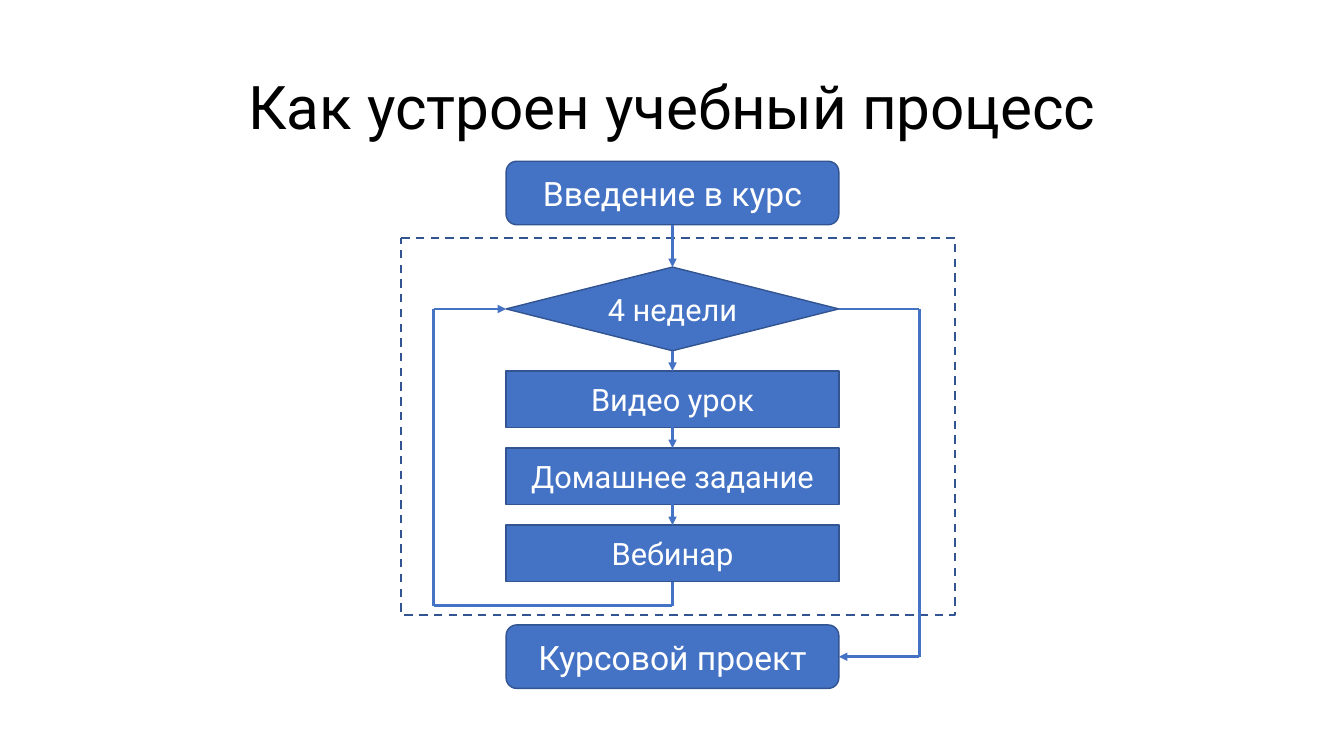
from dataclasses import dataclass
from itertools import pairwise

from lxml.etree import SubElement
from pptx import Presentation
from pptx.dml.color import RGBColor as Color
from pptx.enum.dml import MSO_LINE as Dash
from pptx.enum.shapes import MSO_CONNECTOR as Connector, MSO_SHAPE as Preset
from pptx.enum.text import MSO_ANCHOR as Anchor, PP_ALIGN as Align
from pptx.oxml.ns import qn
from pptx.shapes.autoshape import Shape
from pptx.slide import Slide
from pptx.util import Inches, Pt

TOP, LEFT, BOTTOM, RIGHT = range(4)
Point = tuple[float, float]


@dataclass(frozen=True)
class Theme:
    font: str = "Roboto"
    fill: Color = Color(0x44, 0x72, 0xC4)
    outline: Color = Color(0x32, 0x54, 0x91)
    title_color: Color = Color(0, 0, 0)
    step_color: Color = Color(0xFF, 0xFF, 0xFF)
    title_size: int = 43
    terminal_size: int = 24
    step_size: int = 22


THEME = Theme()


@dataclass(frozen=True)
class Step:
    text: str
    preset: Preset
    top: float
    height: float
    size: int = THEME.step_size


STEP_LEFT, STEP_WIDTH = 5.02, 3.3
STEP_RIGHT, CENTER = STEP_LEFT + STEP_WIDTH, STEP_LEFT + STEP_WIDTH / 2
LOOP_X, LOOP_Y, EXIT_X = 4.3, 6.01, 9.12
TASK_TOP, TASK_HEIGHT, TASK_PITCH = 3.68, 0.56, 0.765

INTRO = Step("Введение в курс", Preset.ROUNDED_RECTANGLE, 1.6, 0.63, THEME.terminal_size)
WEEKS = Step("4 недели", Preset.FLOWCHART_DECISION, 2.65, 0.83)
TASKS = [
    Step(text, Preset.FLOWCHART_PROCESS, TASK_TOP + row * TASK_PITCH, TASK_HEIGHT)
    for row, text in enumerate(("Видео урок", "Домашнее задание", "Вебинар"))
]
PROJECT = Step("Курсовой проект", Preset.ROUNDED_RECTANGLE, 6.2, 0.63, THEME.terminal_size)


def write(shape: Shape, text: str, *, size: int, color: Color, anchor: Anchor) -> None:
    frame = shape.text_frame
    frame.word_wrap = True
    frame.vertical_anchor = anchor
    para = frame.paragraphs[0]
    para.alignment = Align.CENTER
    span = para.add_run()
    span.text = text
    span.font.name = THEME.font
    span.font.size = Pt(size)
    span.font.color.rgb = color


def add_title(page: Slide, text: str) -> None:
    box = page.shapes.add_textbox(Inches(1.46), Inches(0.64), Inches(10.41), Inches(0.82))
    write(box, text, size=THEME.title_size, color=THEME.title_color, anchor=Anchor.TOP)


def add_cycle_frame(page: Slide) -> None:
    """Draw the dashed outline around the weekly cycle."""
    frame = page.shapes.add_shape(
        Preset.FLOWCHART_PROCESS, Inches(3.98), Inches(2.36), Inches(5.49), Inches(3.74)
    )
    frame.shadow.inherit = False
    frame.fill.background()
    frame.line.color.rgb = THEME.outline
    frame.line.width = Pt(1.5)
    frame.line.dash_style = Dash.DASH


def add_step(page: Slide, step: Step) -> Shape:
    shape = page.shapes.add_shape(
        step.preset, Inches(STEP_LEFT), Inches(step.top), Inches(STEP_WIDTH), Inches(step.height)
    )
    shape.shadow.inherit = False
    shape.fill.solid()
    shape.fill.fore_color.rgb = THEME.fill
    shape.line.color.rgb = THEME.outline
    shape.line.width = Pt(1)
    write(shape, step.text, size=step.size, color=THEME.step_color, anchor=Anchor.MIDDLE)
    return shape


def add_route(
    page: Slide, points: list[Point], source: Shape, exit_side: int, target: Shape, entry_side: int
) -> None:
    """Join two shapes through the points, with an arrowhead on the last segment."""
    segments = []
    for start, end in pairwise(points):
        segment = page.shapes.add_connector(
            Connector.STRAIGHT, *(Inches(value) for value in (*start, *end))
        )
        segment.line.color.rgb = THEME.fill
        segment.line.width = Pt(2)
        SubElement(segment._element.spPr, qn("a:effectLst"))
        segments.append(segment)
    segments[0].begin_connect(source, exit_side)
    segments[-1].end_connect(target, entry_side)
    SubElement(segments[-1].line._get_or_add_ln(), qn("a:tailEnd"), type="triangle")


def main() -> None:
    deck = Presentation()
    deck.slide_width, deck.slide_height = Inches(13.33), Inches(7.5)
    page = deck.slides.add_slide(deck.slide_layouts[6])

    add_cycle_frame(page)
    add_title(page, "Как устроен учебный процесс")

    chain = [INTRO, WEEKS, *TASKS]
    shapes = [add_step(page, step) for step in chain]
    project = add_step(page, PROJECT)
    weeks, webinar = shapes[1], shapes[-1]

    for (upper, source), (lower, target) in pairwise(zip(chain, shapes)):
        down = [(CENTER, upper.top + upper.height), (CENTER, lower.top)]
        add_route(page, down, source, BOTTOM, target, TOP)

    weeks_y = WEEKS.top + WEEKS.height / 2
    project_y = PROJECT.top + PROJECT.height / 2
    loop = [
        (CENTER, TASKS[-1].top + TASK_HEIGHT),
        (CENTER, LOOP_Y),
        (LOOP_X, LOOP_Y),
        (LOOP_X, weeks_y),
        (STEP_LEFT, weeks_y),
    ]
    add_route(page, loop, webinar, BOTTOM, weeks, LEFT)
    way_out = [
        (STEP_RIGHT, weeks_y),
        (EXIT_X, weeks_y),
        (EXIT_X, project_y),
        (STEP_RIGHT, project_y),
    ]
    add_route(page, way_out, weeks, RIGHT, project, RIGHT)

    deck.save("out.pptx")


if __name__ == "__main__":
    main()
